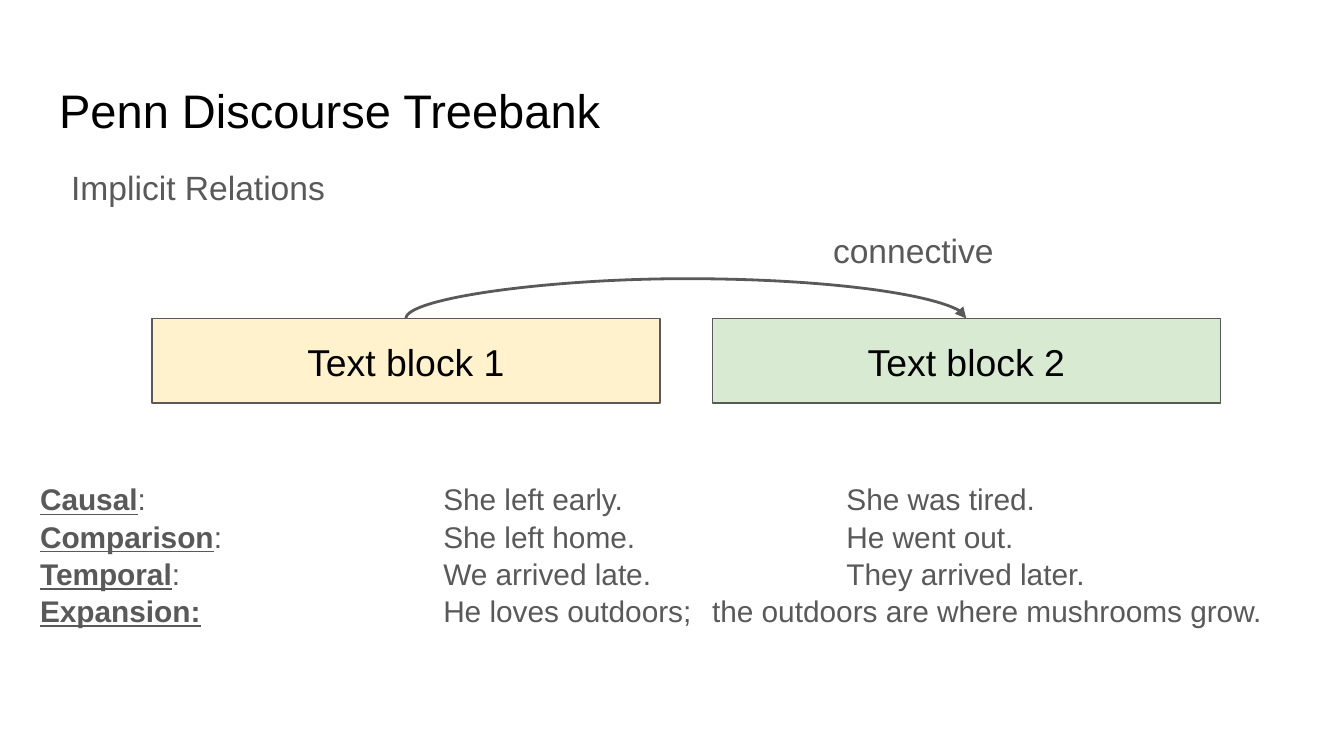
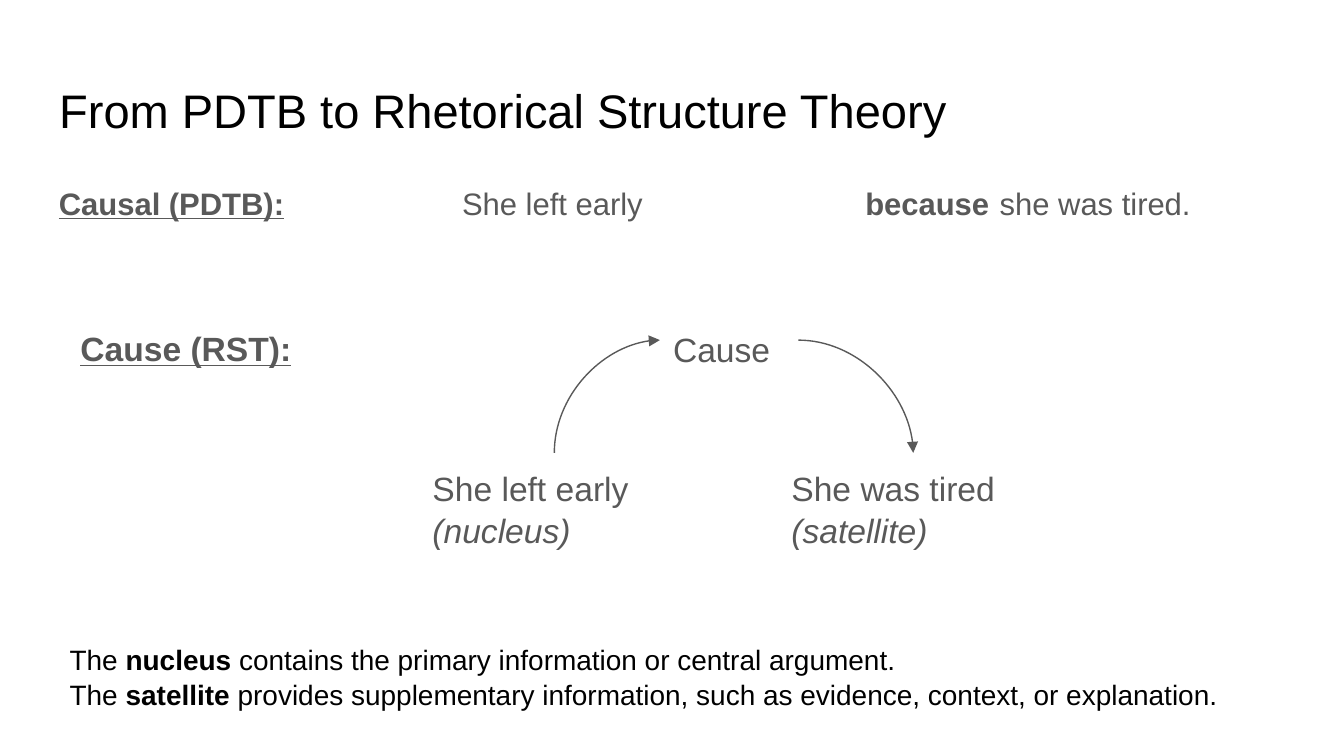
"""Build two slides on discourse relations, from PDTB to Rhetorical Structure Theory."""
from lxml.etree import SubElement
from pptx import Presentation
from pptx.dml.color import RGBColor
from pptx.enum.shapes import MSO_CONNECTOR as Connector, MSO_SHAPE as Shape
from pptx.enum.text import MSO_ANCHOR as Anchor, MSO_AUTO_SIZE as AutoSize, PP_ALIGN as Align
from pptx.oxml.ns import qn
from pptx.util import Pt

COLORS = {"title": "000000", "body": "595959", "first": "FFF2CC", "second": "D9EAD3"}
FONT = "Arial"
INSET = 7.2
TITLE_BOX = (24.5, 35.3, 671, 45.4)
FIRST_TAB, MIDDLE_TAB, SECOND_TAB, LAST_TAB = 216, 360, 432, 504

PDTB_TITLE = "Penn Discourse Treebank"
BLOCKS = [("Text block 1", "first"), ("Text block 2", "second")]
BLOCK_LEFT, BLOCK_TOP, BLOCK_WIDTH, BLOCK_HEIGHT, BLOCK_STEP = 81.4, 170.6, 272.2, 45.4, 300.2
ARC_RISE, ARC_DEPTH = 18.75, 0.05
RELATIONS = [
    ("Causal", ":", "She left early.", "She was tired."),
    ("Comparison", ":", "She left home.", "He went out."),
    ("Temporal", ":", "We arrived late.", "They arrived later."),
    ("Expansion:", "", "He loves outdoors;", "the outdoors are where mushrooms grow."),
]

RST_TITLE = "From PDTB to Rhetorical Structure Theory"
CAUSAL = [("Causal (PDTB):", "bu"), ("\tShe left early\t", ""), ("because\t", "b"), ("she was tired.", "")]
SPANS = [("She left early", "(nucleus)", 224.6), ("She was tired", "(satellite)", 416.9)]
SPAN_TOP, SPAN_WIDTH, SPAN_HEIGHT = 242.6, 144.7, 58.3
CAUSE_BOX = (353.5, 168, 74.2, 28.4)
DEFINITIONS = [
    ("nucleus", " contains the primary information or central argument."),
    ("satellite", " provides supplementary information, such as evidence, context, or explanation."),
]


def color(name):
    return RGBColor.from_string(COLORS[name])


def write(shape, paragraphs, size, ink="body", tabs=(), align=Align.LEFT, anchor=Anchor.TOP):
    frame = shape.text_frame
    frame.word_wrap = True
    frame.auto_size = AutoSize.NONE
    frame.vertical_anchor = anchor
    frame.margin_left = frame.margin_right = frame.margin_top = frame.margin_bottom = Pt(INSET)
    for index, runs in enumerate(paragraphs):
        paragraph = frame.add_paragraph() if index else frame.paragraphs[0]
        paragraph.alignment = align
        paragraph.line_spacing = 1.04
        stops = tabs[index] if tabs else ()
        if stops:
            tab_list = SubElement(paragraph._p.get_or_add_pPr(), qn("a:tabLst"))
            for stop in stops:
                SubElement(tab_list, qn("a:tab"), pos=str(Pt(stop)), algn="l")
        for text, style in runs:
            run = paragraph.add_run()
            run.text = text
            font = run.font
            font.name, font.size = FONT, Pt(size)
            font.color.rgb = color(ink)
            font.bold, font.italic, font.underline = (mark in style for mark in "biu")


def add_text(slide, box, paragraphs, size=18, **options):
    shape = slide.shapes.add_textbox(*map(Pt, box))
    write(shape, paragraphs, size, **options)
    return shape


def add_titled_slide(presentation, title):
    slide = presentation.slides.add_slide(presentation.slide_layouts[5])
    shape = slide.shapes.title
    shape.left, shape.top, shape.width, shape.height = map(Pt, TITLE_BOX)
    write(shape, [[(title, "")]], 25.2, ink="title")
    return slide


def add_curve(slide, source, target, start, end, width, preset, turned=False, bend=None):
    """Join two shapes by a curved arrow; a turned curve leaves its source upward."""
    connector = slide.shapes.add_connector(Connector.CURVE, 0, 0, 0, 0)
    connector.begin_connect(source[0], source[1])
    connector.end_connect(target[0], target[1])
    (x1, y1), (x2, y2) = start, end
    across, down = abs(x2 - x1), abs(y2 - y1)
    if turned:
        across, down = max(down, ARC_DEPTH), across
    connector.left, connector.top = Pt((x1 + x2 - across) / 2), Pt((y1 + y2 - down) / 2)
    connector.width, connector.height = Pt(across), Pt(down)
    properties = connector._element.spPr
    transform = properties.find(qn("a:xfrm"))
    for flip in ("flipH", "flipV"):
        transform.attrib.pop(flip, None)
    if turned:
        transform.set("rot", str(270 * 60000))
    geometry = properties.find(qn("a:prstGeom"))
    geometry.set("prst", preset)
    if bend is not None:
        transform.set("flipH", "1")
        SubElement(geometry.find(qn("a:avLst")), qn("a:gd"), name="adj1", fmla=f"val {bend}")
    connector.line.color.rgb = color("body")
    connector.line.width = Pt(width)
    SubElement(connector.line._get_or_add_ln(), qn("a:tailEnd"), type="triangle")
    SubElement(properties, qn("a:effectLst"))


def build_treebank(presentation):
    slide = add_titled_slide(presentation, PDTB_TITLE)
    blocks, tops = [], []
    for index, (label, fill) in enumerate(BLOCKS):
        left = BLOCK_LEFT + index * BLOCK_STEP
        block = slide.shapes.add_shape(
            Shape.RECTANGLE, *map(Pt, (left, BLOCK_TOP, BLOCK_WIDTH, BLOCK_HEIGHT)))
        block.shadow.inherit = False
        block.fill.solid()
        block.fill.fore_color.rgb = color(fill)
        block.line.color.rgb = color("body")
        block.line.width = Pt(0.75)
        write(block, [[(label, "")]], 20, ink="title", align=Align.CENTER, anchor=Anchor.MIDDLE)
        blocks.append(block)
        tops.append((left + BLOCK_WIDTH / 2, BLOCK_TOP))
    add_curve(slide, (blocks[0], 0), (blocks[1], 0), *tops, 1.5, "curvedConnector3",
              turned=True, bend=-round(ARC_RISE / ARC_DEPTH * 100000))
    add_text(slide, (439.2, 115.2, 199.4, 35.3), [[("connective", "")]])
    add_text(slide, (31, 81.4, 300, 35.3), [[("Implicit Relations", "")]])
    rows = [[(name, "bu"), (f"{colon}\t{first}\t{second}", "")]
            for name, colon, first, second in RELATIONS]
    tabs = [(FIRST_TAB, SECOND_TAB)] * (len(rows) - 1) + [(FIRST_TAB, MIDDLE_TAB)]
    add_text(slide, (14.4, 249.8, 748.8, 107.3), rows, 16, tabs=tabs)


def build_rhetorical(presentation):
    slide = add_titled_slide(presentation, RST_TITLE)
    add_text(slide, (24.5, 90.7, 671, 45.4), [CAUSAL], 16.6,
             tabs=[(FIRST_TAB, SECOND_TAB, LAST_TAB)])
    add_text(slide, (36, 167.8, 144.7, 36), [[("Cause (RST):", "bu")]])
    cause = add_text(slide, CAUSE_BOX, [[("Cause", "")]])
    spans = [add_text(slide, (left, SPAN_TOP, SPAN_WIDTH, SPAN_HEIGHT), [[(text, "")], [(role, "i")]])
             for text, role, left in SPANS]
    nucleus_top, satellite_top = ((left + SPAN_WIDTH / 2, SPAN_TOP) for _, _, left in SPANS)
    left, top, width, height = CAUSE_BOX
    middle = top + height / 2
    add_curve(slide, (spans[0], 0), (cause, 1), nucleus_top, (left, middle), 0.75,
              "curvedConnector2", turned=True)
    add_curve(slide, (cause, 3), (spans[1], 0), (left + width, middle), satellite_top, 0.75,
              "curvedConnector2")
    add_text(slide, (30.2, 336.2, 679.7, 51.1),
             [[("The ", ""), (term, "b"), (meaning, "")] for term, meaning in DEFINITIONS],
             15, ink="title")


def main():
    presentation = Presentation()
    presentation.slide_width, presentation.slide_height = Pt(720), Pt(405)
    build_treebank(presentation)
    build_rhetorical(presentation)
    presentation.save("out.pptx")


if __name__ == "__main__":
    main()
